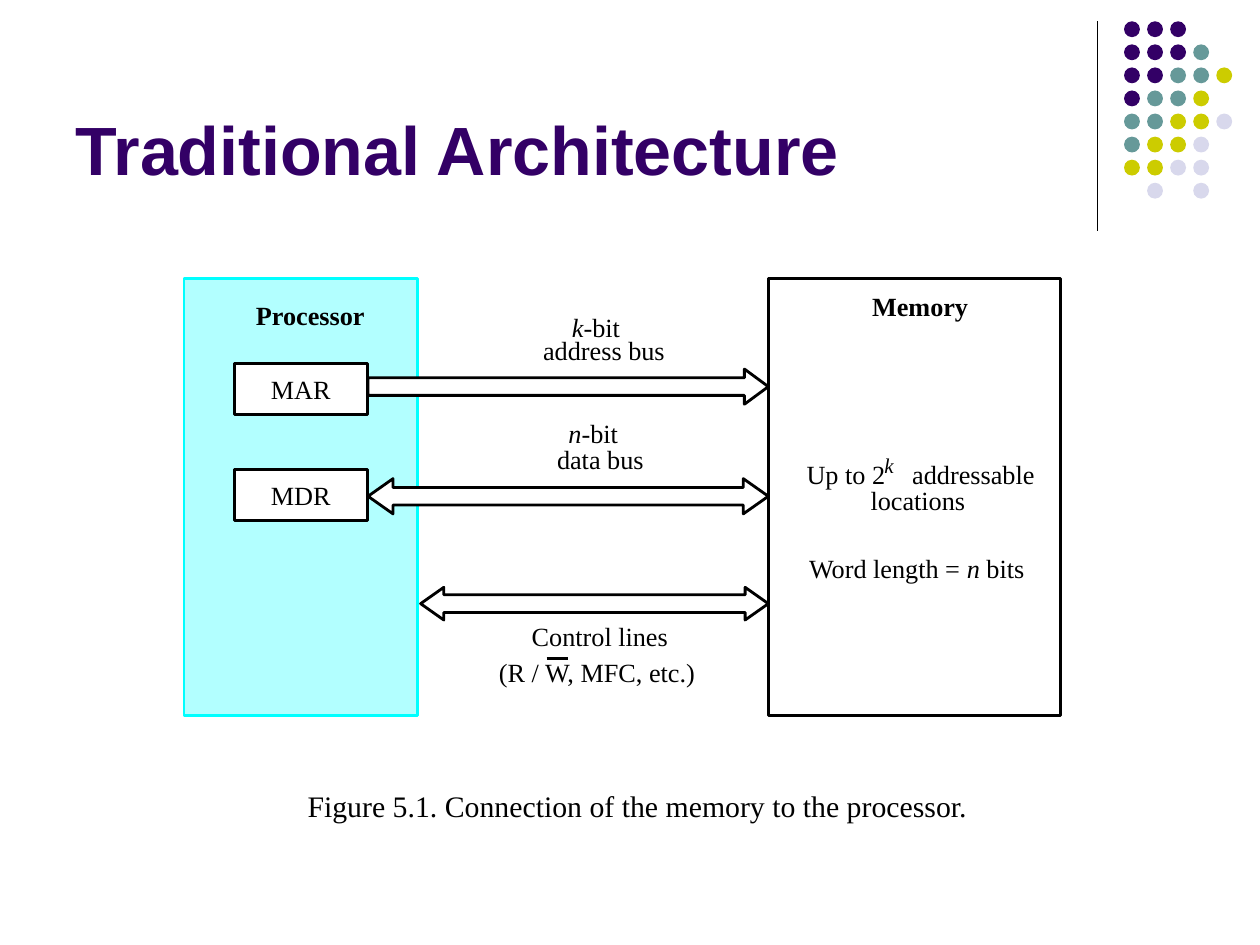
import pptx
import pptx.util
import pptx.dml.color
import pptx.oxml.ns
import pptx.enum.shapes
import pptx.enum.text
import lxml.etree

Cm = pptx.util.Cm
Pt = pptx.util.Pt
SHAPE = pptx.enum.shapes.MSO_SHAPE
SERIF = "Times New Roman"
DOT_COLORS = {"P": "330066", "T": "669999", "Y": "CCCC00", "L": "D8D8EC"}
DOT_ROWS = ["PPP", "PPPT", "PPTTY", "PTTY", "TTYYL", "TYYL", "YYLL", " L L"]


def color(value):
    return pptx.dml.color.RGBColor.from_string(value)


def add_span(para, text, size=15, style="", font=SERIF, ink="000000"):
    """Add one run; style may hold b (bold) and i (italic)."""
    span = para.add_run()
    span.text = text
    span.font.name = font
    span.font.size = Pt(size)
    span.font.bold = "b" in style
    span.font.italic = "i" in style
    span.font.color.rgb = color(ink)


def add_label(page, left, top, width, spans, size=15):
    """Add a one-line label made of (text, style) spans."""
    box = page.shapes.add_textbox(Cm(left), Cm(top), Cm(width), Cm(size * 0.042))
    frame = box.text_frame
    frame.margin_left = frame.margin_right = frame.margin_top = frame.margin_bottom = 0
    frame.word_wrap = False
    frame.auto_size = pptx.enum.text.MSO_AUTO_SIZE.SHAPE_TO_FIT_TEXT
    for text, style in spans:
        add_span(frame.paragraphs[0], text, size, style)


def add_outline(page, kind, left, top, width, height, fill="FFFFFF", line="000000"):
    shape = page.shapes.add_shape(kind, Cm(left), Cm(top), Cm(width), Cm(height))
    shape.shadow.inherit = False
    shape.fill.solid()
    shape.fill.fore_color.rgb = color(fill)
    if line:
        shape.line.color.rgb = color(line)
        shape.line.width = Pt(1.62)
    else:
        shape.line.fill.background()
    return shape


def add_line(page, x1, y1, x2, y2, width):
    line = page.shapes.add_connector(
        pptx.enum.shapes.MSO_CONNECTOR.STRAIGHT, Cm(x1), Cm(y1), Cm(x2), Cm(y2))
    line.line.color.rgb = color("000000")
    line.line.width = Pt(width)
    properties = line._element.find(pptx.oxml.ns.qn("p:spPr"))
    lxml.etree.SubElement(properties, pptx.oxml.ns.qn("a:effectLst"))


def add_corner_dots(page, left, top, width, diameter):
    pitch = (width - diameter) / 4
    for row, codes in enumerate(DOT_ROWS):
        for column, code in enumerate(codes):
            if code in DOT_COLORS:
                add_outline(page, SHAPE.OVAL, left + column * pitch, top + row * pitch,
                            diameter, diameter, DOT_COLORS[code], None)


def add_title(page, left, top, width, height):
    title = page.shapes.title
    title.left, title.top, title.width, title.height = map(Cm, (left, top, width, height))
    frame = title.text_frame
    frame.word_wrap = True
    frame.auto_size = pptx.enum.text.MSO_AUTO_SIZE.NONE
    frame.vertical_anchor = pptx.enum.text.MSO_ANCHOR.BOTTOM
    para = frame.paragraphs[0]
    para.alignment = pptx.enum.text.PP_ALIGN.LEFT
    add_span(para, "Traditional Architecture", 39, "b", "Arial", "330066")


def add_buses(page, left, top, width):
    # Arrows: kind, indent, offset, height, shaft share, head share
    arrows = [
        (SHAPE.RIGHT_ARROW, 0, 1.83, 0.71, 0.5, 0.68),
        (SHAPE.LEFT_RIGHT_ARROW, 0, 4.04, 0.71, 0.5, 0.71),
        (SHAPE.LEFT_RIGHT_ARROW, 1.06, 6.23, 0.66, 0.54, 0.71),
    ]
    for kind, indent, offset, height, shaft, head in arrows:
        arrow = add_outline(page, kind, left + indent, top + offset, width - indent, height)
        arrow.adjustments[0] = shaft
        arrow.adjustments[1] = head
    # Bus names
    labels = [
        (4.11, 0.66, 1.1, [("k", "i"), ("-bit", "")]),
        (3.53, 1.12, 2.6, [("address bus", "")]),
        (4.04, 2.8, 1.2, [("n", "i"), ("-bit", "")]),
        (3.81, 3.33, 1.9, [("data bus", "")]),
        (3.3, 6.89, 3, [("Control lines", "")]),
        (2.64, 7.62, 4.2, [("(R / W, MFC, etc.)", "")]),
    ]
    for x, y, label_width, spans in labels:
        add_label(page, left + x, top + y, label_width, spans)
    # Bar over the W
    add_line(page, left + 3.6, top + 7.67, left + 4.04, top + 7.67, 1.62)


def add_processor(page, left, top, width, height):
    add_outline(page, SHAPE.RECTANGLE, left, top, width, height, "B2FFFF", "00FFFF")
    add_label(page, left + 1.45, top + 0.43, 2.4, [("Processor", "b")])


def add_registers(page, left, top):
    for offset, name in ((1.72, "MAR"), (3.86, "MDR")):
        register = add_outline(page, SHAPE.RECTANGLE, left + 1.01, top + offset, 2.69, 1.02)
        frame = register.text_frame
        frame.margin_top = frame.margin_bottom = 0
        frame.vertical_anchor = pptx.enum.text.MSO_ANCHOR.MIDDLE
        para = frame.paragraphs[0]
        para.alignment = pptx.enum.text.PP_ALIGN.CENTER
        add_span(para, name)


def add_memory(page, left, top, width, height):
    add_outline(page, SHAPE.RECTANGLE, left, top, width, height)
    labels = [
        (2.09, 0.25, 2.1, [("Memory", "b")], 15),
        (0.77, 3.62, 1.7, [("Up to 2", "")], 15),
        (2.34, 3.51, 0.22, [("k", "i")], 12),
        (2.9, 3.62, 2.6, [("addressable", "")], 15),
        (2.06, 4.15, 2.2, [("locations", "")], 15),
        (0.82, 5.52, 4.6, [("Word length = ", ""), ("n", "i"), (" bits", "")], 15),
    ]
    for x, y, label_width, spans, size in labels:
        add_label(page, left + x, top + y, label_width, spans, size)


def main():
    deck = pptx.Presentation()
    deck.slide_width, deck.slide_height = Cm(25.4), Cm(19.05)
    page = deck.slides.add_slide(deck.slide_layouts[5])

    # Corner decoration and title
    add_line(page, 22.12, 0.43, 22.12, 4.65, 0.75)
    add_corner_dots(page, 22.66, 0.43, 2.18, 0.32)
    add_title(page, 1.27, 0.33, 20.95, 3.61)

    # Diagram
    top, height = 5.61, 8.81
    add_processor(page, 3.71, top, 4.7, height)
    add_buses(page, 7.42, top, 8.07)
    add_registers(page, 3.71, top)
    add_memory(page, 15.49, top, 5.89, height)

    # Caption
    add_label(page, 6.2, 15.88, 13.6,
              [("Figure 5.1. Connection of the memory to the processor.", "")], 17)
    deck.save("out.pptx")


if __name__ == "__main__":
    main()
